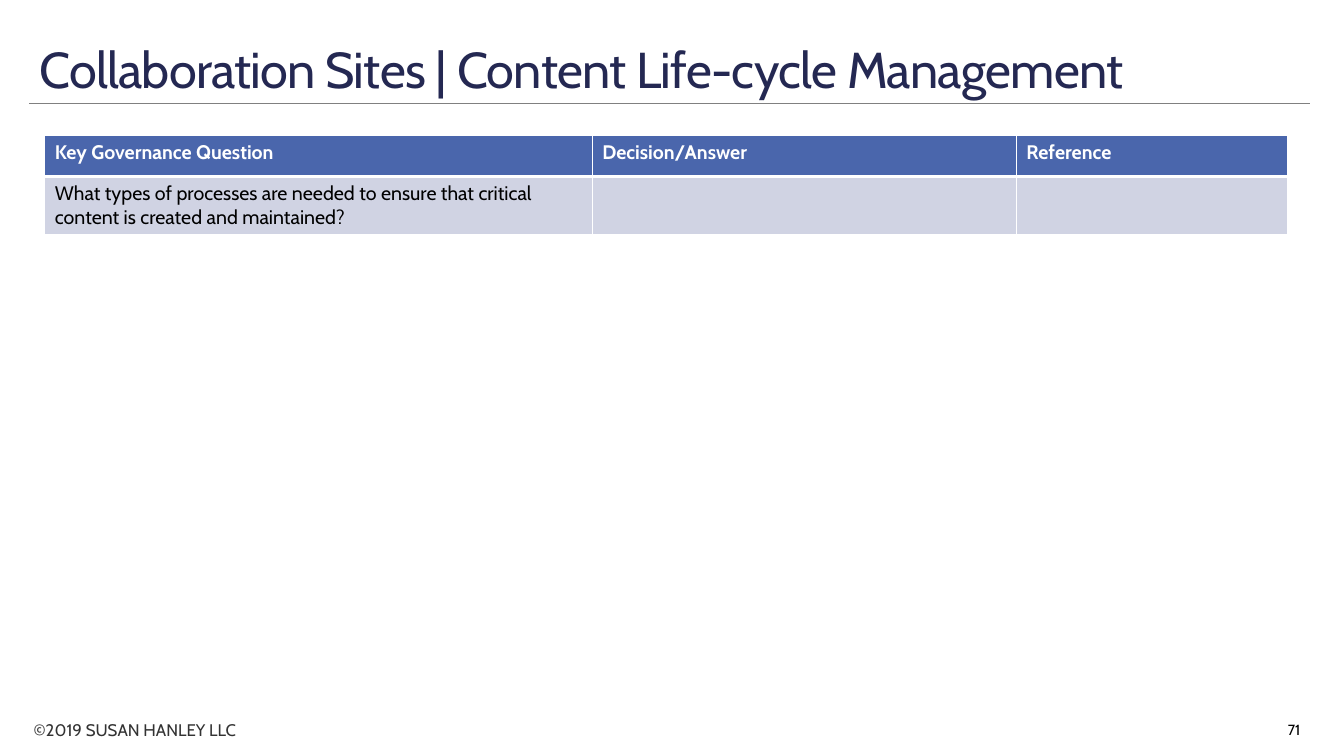
from lxml import etree
from pptx import Presentation
from pptx.dml.color import RGBColor
from pptx.enum.shapes import MSO_CONNECTOR
from pptx.enum.text import MSO_ANCHOR, MSO_AUTO_SIZE, PP_ALIGN
from pptx.oxml.ns import qn
from pptx.util import Pt

LINE = MSO_CONNECTOR.STRAIGHT
FIXED = MSO_AUTO_SIZE.NONE
TOP, MIDDLE, BOTTOM = MSO_ANCHOR.TOP, MSO_ANCHOR.MIDDLE, MSO_ANCHOR.BOTTOM
LEFT, RIGHT = PP_ALIGN.LEFT, PP_ALIGN.RIGHT

FONT = "Cabin"
NAVY = RGBColor(0x24, 0x28, 0x52)
BLUE = RGBColor(0x4A, 0x66, 0xAC)
PALE = RGBColor(0xD0, 0xD3, 0xE3)
GRAY = RGBColor(0x80, 0x80, 0x80)
DARK = RGBColor(0x33, 0x33, 0x33)
BLACK = RGBColor(0, 0, 0)
WHITE = RGBColor(0xFF, 0xFF, 0xFF)

WIDTH, HEIGHT = 960, 540
COLS = (391, 303, 194)
ROWS = (29.5, 40.5)
CELLS = (
    ("Key Governance Question", "Decision/Answer", "Reference"),
    ("What types of processes are needed to ensure that critical "
     "content is created and maintained?", "", ""),
)


def write(frame, text, size=14, color=BLACK, bold=False, align=LEFT,
          anchor=TOP, lead=None, track=None):
    frame.word_wrap = True
    frame.vertical_anchor = anchor
    para = frame.paragraphs[0]
    para.alignment = align
    para.line_spacing = lead
    run = para.add_run()
    run.text = text
    font = run.font
    font.name, font.size, font.bold = FONT, Pt(size), bold
    font.color.rgb = color
    if track:
        font._element.set("spc", str(round(track * 100)))


def edge(cell, side, width):
    props = cell._tc.get_or_add_tcPr()
    line = etree.SubElement(props, qn("a:ln" + side), w=str(Pt(width)))
    fill = etree.SubElement(line, qn("a:solidFill"))
    etree.SubElement(fill, qn("a:srgbClr"), val=str(WHITE))


def header(slide, x, y, w, h):
    title = slide.shapes.title
    title.left, title.top, title.width, title.height = map(Pt, (x, y, w, h))
    frame = title.text_frame
    frame.auto_size = FIXED
    write(frame, "Collaboration Sites | Content Life-cycle Management",
          size=36, color=NAVY, anchor=BOTTOM, lead=0.85, track=-0.5)
    rule = slide.shapes.add_connector(
        LINE, Pt(x), Pt(y + h), Pt(x + w), Pt(y + h))
    rule.line.color.rgb = GRAY
    rule.line.width = Pt(0.5)
    etree.SubElement(rule._element.spPr, qn("a:effectLst"))


def grid(slide, x, y, w, h):
    table = slide.shapes.add_table(
        len(ROWS), len(COLS), Pt(x), Pt(y), Pt(w), Pt(h)).table
    for col, width in zip(table.columns, COLS):
        col.width = Pt(width)
    for row, height in zip(table.rows, ROWS):
        row.height = Pt(height)
    for r, texts in enumerate(CELLS):
        head = r == 0
        for c, text in enumerate(texts):
            cell = table.cell(r, c)
            for side, width in (("L", 1), ("R", 1), ("T", 1 if head else 3),
                                ("B", 3 if head else 1)):
                edge(cell, side, width)
            cell.fill.solid()
            cell.fill.fore_color.rgb = BLUE if head else PALE
            if text:
                write(cell.text_frame, text, bold=head,
                      color=WHITE if head else BLACK)


def footer(slide, x, y, w, h):
    add = slide.shapes.add_textbox
    owner = add(Pt(x), Pt(y + 3.5), Pt(202), Pt(21.5))
    write(owner.text_frame, "©2019 SUSAN HANLEY LLC", size=12, color=DARK)
    page = add(Pt(x + w - 103), Pt(y), Pt(103), Pt(h))
    write(page.text_frame, "71", size=10.5, align=RIGHT, anchor=MIDDLE)


def main():
    deck = Presentation()
    deck.slide_width, deck.slide_height = Pt(WIDTH), Pt(HEIGHT)
    slide = deck.slides.add_slide(deck.slide_layouts[5])
    header(slide, 21, 13.5, 915, 60.5)
    grid(slide, 32, 96.5, sum(COLS), sum(ROWS))
    footer(slide, 17, 507, 919, 29)
    deck.save("out.pptx")


if __name__ == "__main__":
    main()
